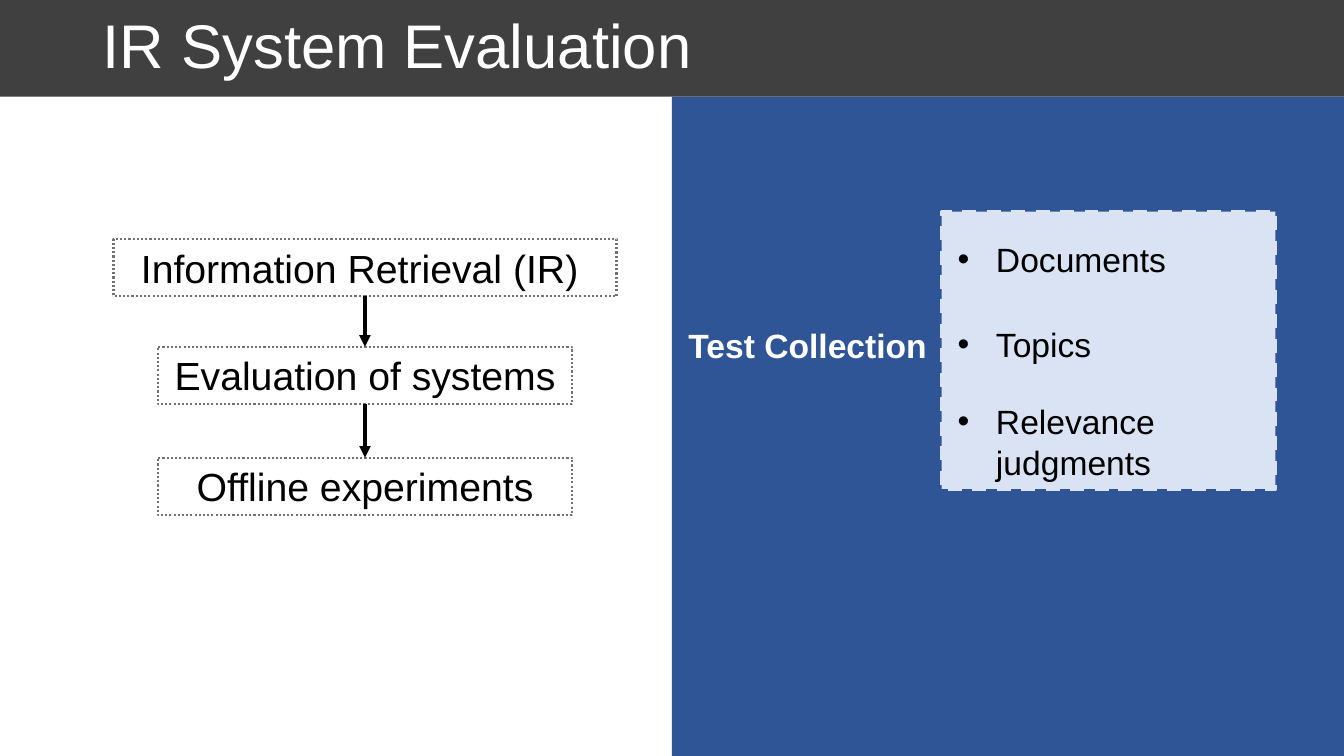
from lxml.etree import SubElement
from pptx import Presentation
from pptx.dml.color import RGBColor
from pptx.enum.dml import MSO_LINE as Dash
from pptx.enum.shapes import MSO_CONNECTOR as Link, MSO_SHAPE as Kind
from pptx.enum.text import MSO_ANCHOR as Anchor, MSO_AUTO_SIZE as Fit, PP_ALIGN as Align
from pptx.oxml.ns import qn
from pptx.util import Inches, Pt

# Content
TITLE = "IR System Evaluation"
LABEL = "Test Collection"
STEPS = [  # text, top, width
    ("Information Retrieval (IR) ", 2.37, 4.99),
    ("Evaluation of systems", 3.44, 4.11),
    ("Offline experiments", 4.54, 4.11),
]
PARTS = [  # lines, top, width, height
    (["Documents"], 2.32, 2.45, 0.5),
    (["Topics"], 3.16, 1.55, 0.5),
    (["Relevance", "judgments"], 3.93, 2.22, 0.91),
]

# Look
FONT = "Arial"
BLACK = RGBColor(0x00, 0x00, 0x00)
WHITE = RGBColor(0xFF, 0xFF, 0xFF)
DARK = RGBColor(0x40, 0x40, 0x40)
GREY = RGBColor(0x76, 0x71, 0x71)
BLUE = RGBColor(0x2F, 0x55, 0x97)
PALE = RGBColor(0xDA, 0xE3, 0xF3)

# Measures in inches
WIDE, HIGH = 13.33, 7.5
HALF = WIDE / 2
BAR = 0.96
MID = 3.62
STEP = 0.57
INDENT = 0.38

deck = Presentation()
deck.slide_width, deck.slide_height = Inches(WIDE), Inches(HIGH)
slide = deck.slides.add_slide(deck.slide_layouts[5])
shapes = slide.shapes


def area(*sizes):
    return [Inches(size) for size in sizes]


def add_rect(place, fill=None, line=None, width=0, dash=None):
    rect = shapes.add_shape(Kind.RECTANGLE, *area(*place))
    rect.shadow.inherit = False
    if fill is None:
        rect.fill.background()
    else:
        rect.fill.solid()
        rect.fill.fore_color.rgb = fill
    if line is None:
        rect.line.fill.background()
    else:
        rect.line.color.rgb = line
        rect.line.width = Pt(width)
        rect.line.dash_style = dash
    return rect


def add_run(para, text, size, color, bold=False):
    run = para.add_run()
    run.text = text
    font = run.font
    font.name, font.size, font.bold = FONT, Pt(size), bold
    font.color.rgb = color


def add_box(place):
    box = shapes.add_textbox(*area(*place))
    box.text_frame.word_wrap = True
    return box.text_frame


def add_arrow(top, end):
    arrow = shapes.add_connector(Link.STRAIGHT, *area(MID, top, MID, end))
    arrow.line.color.rgb = BLACK
    arrow.line.width = Pt(2.75)
    SubElement(arrow.line._get_or_add_ln(), qn("a:tailEnd"), type="triangle")
    SubElement(arrow._element.spPr, qn("a:effectLst"))


# Right panel and title bar
add_rect((HALF, BAR, HALF, HIGH - BAR), BLUE)
add_rect((0, 0, WIDE, BAR), DARK)

# Title, brought in front of its bar
title = shapes.title
title.left, title.top, title.width, title.height = area(0.92, 0, 11.5, BAR)
shapes._spTree.append(title._element)
frame = title.text_frame
frame.vertical_anchor = Anchor.MIDDLE
frame.auto_size = Fit.NONE
para = frame.paragraphs[0]
para.alignment = Align.LEFT
para.line_spacing = 0.9
add_run(para, TITLE, 44, WHITE)

# Steps
for text, top, width in STEPS:
    place = (MID - width / 2, top, width, STEP)
    frame = add_rect(place, None, GREY, 1.5, Dash.ROUND_DOT).text_frame
    frame.word_wrap = True
    frame.auto_size = Fit.SHAPE_TO_FIT_TEXT
    frame.vertical_anchor = Anchor.TOP
    para = frame.paragraphs[0]
    para.alignment = Align.CENTER
    add_run(para, text, 28, BLACK)

# Arrows between neighbouring steps
for (_, top, _), (_, end, _) in zip(STEPS, STEPS[1:]):
    add_arrow(top + STEP, end)

# Parts of the collection
add_rect((9.34, 2.1, 3.31, 2.75), PALE, PALE, 2.5, Dash.DASH)
for lines, top, width, height in PARTS:
    frame = add_box((9.4, top, width, height))
    frame.auto_size = Fit.SHAPE_TO_FIT_TEXT
    para = frame.paragraphs[0]
    props = para._p.get_or_add_pPr()
    props.set("marL", str(Inches(INDENT)))
    props.set("indent", str(-Inches(INDENT)))
    SubElement(props, qn("a:buFont"), typeface=FONT)
    SubElement(props, qn("a:buChar"), char="•")
    for spot, line in enumerate(lines):
        if spot:
            para.add_line_break()
        add_run(para, line, 24, BLACK)

# Collection label
para = add_box((6.23, 3.22, 3.4, 0.77)).paragraphs[0]
para.level = 1
para.line_spacing = 0.9
props = para._p.get_or_add_pPr()
props.set("marL", str(Inches(0.5)))
props.set("indent", "0")
add_run(para, LABEL, 24, WHITE, True)

deck.save("out.pptx")
